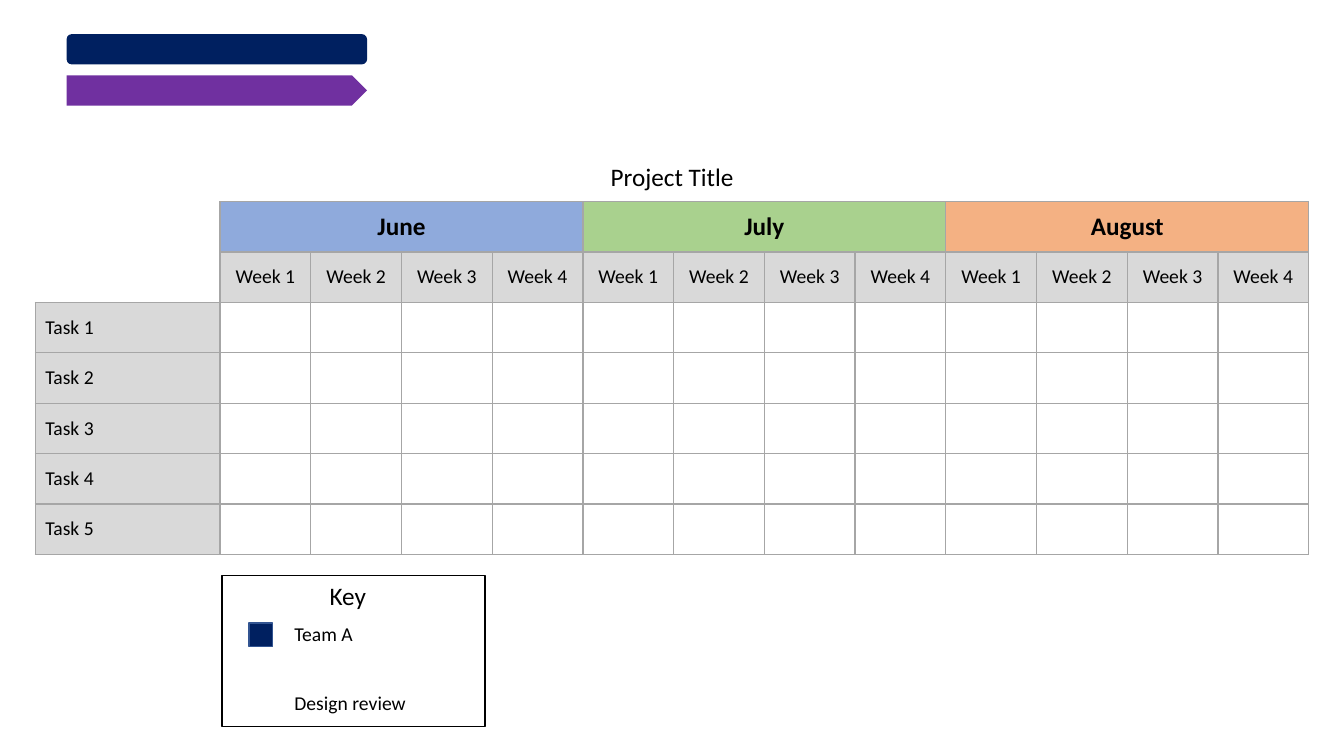
from lxml.etree import SubElement
from pptx import Presentation
from pptx.dml.color import RGBColor
from pptx.enum.shapes import MSO_SHAPE
from pptx.enum.text import MSO_ANCHOR, MSO_AUTO_SIZE, PP_ALIGN
from pptx.oxml.ns import qn
from pptx.util import Pt

FONT = "Calibri"
BLACK, WHITE, GREY, GRID, NAVY = "000000", "FFFFFF", "D9D9D9", "A6A6A6", "002060"
MONTHS = [("June", "8FAADC"), ("July", "A9D18E"), ("August", "F4B183")]
WEEKS = 4
TASKS = 5


def color(hex_code):
    return RGBColor.from_string(hex_code)


def style_paragraph(p, size, align=PP_ALIGN.LEFT, bold=False):
    p.alignment = align
    p.font.name, p.font.size, p.font.bold = FONT, Pt(size), bold
    p.font.color.rgb = color(BLACK)


def add_label(s, text, x, y, w, h, size, align=PP_ALIGN.LEFT):
    tf = s.shapes.add_textbox(Pt(x), Pt(y), Pt(w), Pt(h)).text_frame
    tf.word_wrap = align == PP_ALIGN.CENTER
    tf.auto_size = MSO_AUTO_SIZE.SHAPE_TO_FIT_TEXT
    tf.text = text
    style_paragraph(tf.paragraphs[0], size, align)


def add_block(s, kind, x, y, w, h, fill=None, line=None):
    sp = s.shapes.add_shape(kind, Pt(x), Pt(y), Pt(w), Pt(h))
    sp.shadow.inherit = False
    if fill:
        sp.fill.solid()
        sp.fill.fore_color.rgb = color(fill)
    else:
        sp.fill.background()
    if line:
        sp.line.color.rgb = color(line)
        sp.line.width = Pt(1)
    else:
        sp.line.fill.background()


def set_borders(cell, sides):
    """Draw the grid line on the given sides (letters of LRTB), none on the others."""
    tc_pr = cell._tc.get_or_add_tcPr()
    for i, side in enumerate("LRTB"):
        ln = SubElement(tc_pr, qn(f"a:ln{side}"), w=str(Pt(1)))
        if side in sides:
            fill = SubElement(ln, qn("a:solidFill"))
            SubElement(fill, qn("a:srgbClr"), val=GRID)
        else:
            SubElement(ln, qn("a:noFill"))
        tc_pr.insert(i, ln)


def set_cell(cell, fill, text="", size=14, align=PP_ALIGN.CENTER, bold=False, sides="LRTB"):
    cell.fill.solid()
    cell.fill.fore_color.rgb = color(fill)
    set_borders(cell, sides)
    cell.vertical_anchor = MSO_ANCHOR.MIDDLE
    cell.text = text
    style_paragraph(cell.text_frame.paragraphs[0], size, align, bold)


def add_schedule(s, x, y, w, h, task_w):
    n_weeks = len(MONTHS) * WEEKS
    n_rows = TASKS + 2
    table = s.shapes.add_table(n_rows, n_weeks + 1, Pt(x), Pt(y), Pt(w), Pt(h)).table
    table.first_row = table.horz_banding = False
    for row in table.rows:
        row.height = Pt(h / n_rows)
    for i, column in enumerate(table.columns):
        column.width = Pt((w - task_w) / n_weeks if i else task_w)

    set_cell(table.cell(0, 0), WHITE, sides="R")
    set_cell(table.cell(1, 0), WHITE, sides="RB")
    for i in range(n_weeks):
        month, fill = MONTHS[i // WEEKS]
        week = i % WEEKS
        set_cell(table.cell(0, i + 1), fill, "" if week else month, 18, bold=True)
        set_cell(table.cell(1, i + 1), GREY, f"Week {week + 1}")
        for row in range(2, n_rows):
            set_cell(table.cell(row, i + 1), WHITE)
    for first in range(1, n_weeks + 1, WEEKS):
        table.cell(0, first).merge(table.cell(0, first + WEEKS - 1))
    for task in range(1, TASKS + 1):
        set_cell(table.cell(task + 1, 0), GREY, f"Task {task}", align=PP_ALIGN.LEFT)


def add_sample_bars(s, x, y, w, h, pitch):
    bars = [(MSO_SHAPE.ROUNDED_RECTANGLE, NAVY), (MSO_SHAPE.PENTAGON, "7030A0")]
    for i, (kind, fill) in enumerate(bars):
        add_block(s, kind, x, y + i * pitch, w, h, fill)


def add_key(s, x, y, w, h):
    add_block(s, MSO_SHAPE.RECTANGLE, x, y, w, h, line=BLACK)
    add_label(s, "Key", x + 69.8, y, 44, 29, 18)
    add_block(s, MSO_SHAPE.RECTANGLE, x + 19.2, y + 34, 16.8, 16.8, NAVY, "325491")
    add_label(s, "Team A", x + 44.6, y + 29.5, 62, 24.2, 14)
    add_label(s, "Design review", x + 44.6, y + 78.7, 94.3, 24.2, 14)


def main():
    prs = Presentation()
    prs.slide_width, prs.slide_height = Pt(960), Pt(540)
    s = prs.slides.add_slide(prs.slide_layouts[6])
    add_schedule(s, 25.2, 144, 909.6, 252, task_w=132)
    add_sample_bars(s, 47.6, 24.4, 214.6, 21.6, pitch=29.4)
    add_key(s, 158.6, 411, 188, 108)
    add_label(s, "Project Title", 36.6, 111.8, 887, 29, 18, PP_ALIGN.CENTER)
    prs.save("out.pptx")


if __name__ == "__main__":
    main()
